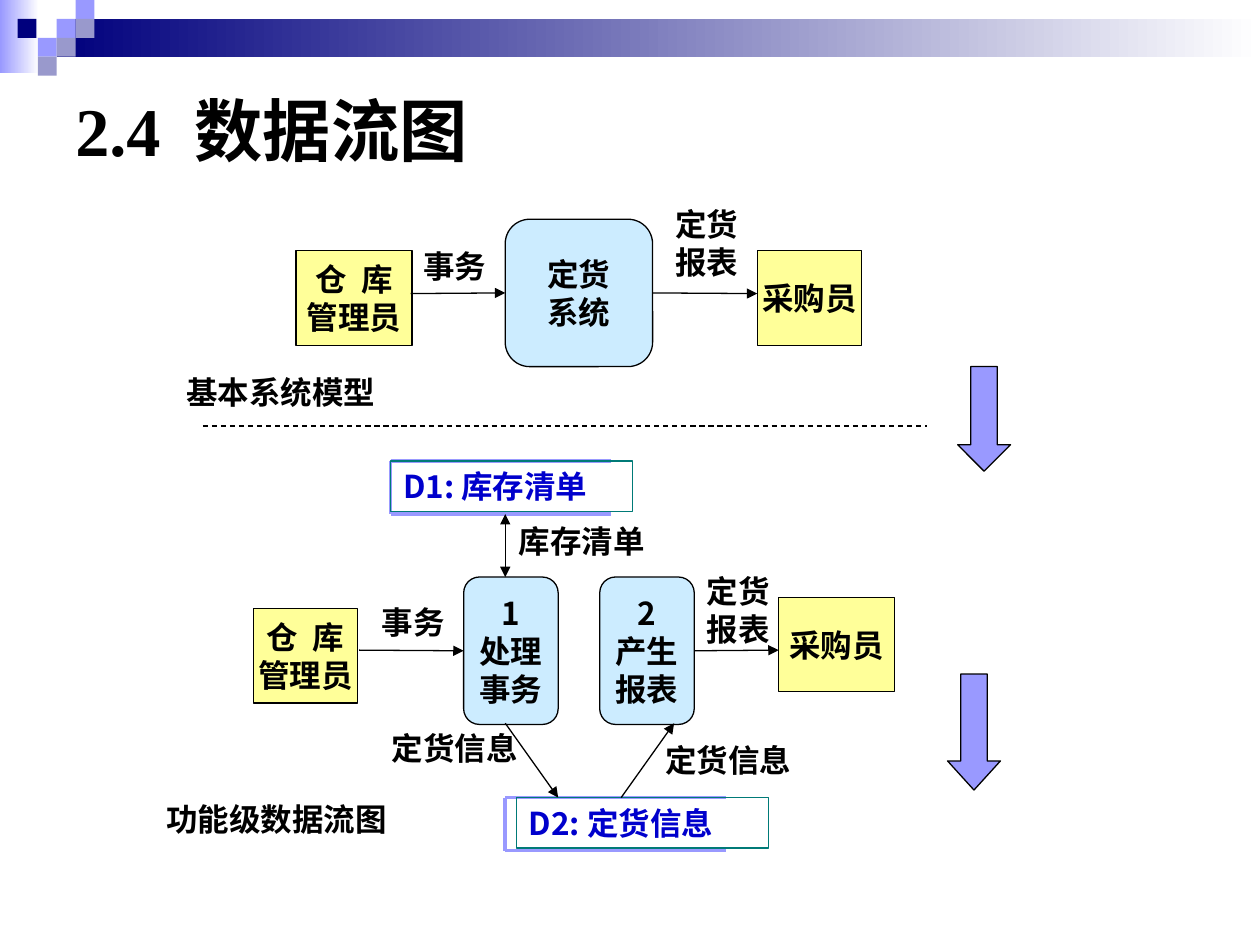
from lxml import etree
from pptx import Presentation, util as u
from pptx.dml.color import RGBColor
from pptx.enum import dml, shapes, text
from pptx.oxml.ns import qn

COLORS = {"black": "000000", "white": "FFFFFF", "navy": "00007D", "violet": "9999FF",
          "gray": "9999CC", "yellow": "FFFF99", "sky": "CCECFF", "teal": "007A77",
          "blue": "0000CC"}
SANS, SERIF = "Noto Sans CJK SC", "Times New Roman"
RECT, ROUND = shapes.MSO_SHAPE.RECTANGLE, shapes.MSO_SHAPE.ROUNDED_RECTANGLE
DOWN = shapes.MSO_SHAPE.DOWN_ARROW
LEFT, RIGHT = 1, 3

BANDS = [((0, 0, 0.31, 0.58), "violet"), ((0.45, 0.15, 9.55, 0.3), "navy")]
TILE = 0.15
TILES = [(3, 1, "violet"), (4, 0, "violet"), (4, 1, "gray"), (2, 2, "violet"),
         (0.93, 1, "navy"), (3, 2, "gray"), (2, 3, "gray")]

TITLE = ("2.4  数据流图", (0.5, 0.5, 9, 1.05))
NODES = {
    "keeper": (RECT, "仓  库\n管理员", (2.35, 1.99, 0.92, 0.75)),
    "system": (ROUND, "定货\n系统", (4.01, 1.74, 1.17, 1.17)),
    "buyer": (RECT, "采购员", (6.01, 1.99, 0.83, 0.75)),
    "keeper 2": (RECT, "仓  库\n管理员", (2.01, 4.83, 0.83, 0.75)),
    "process": (ROUND, "1\n处理\n事务", (3.68, 4.58, 0.75, 1.17)),
    "report": (ROUND, "2\n产生\n报表", (4.76, 4.58, 0.75, 1.17)),
    "buyer 2": (RECT, "采购员", (6.18, 4.74, 0.92, 0.75)),
}
STORES = [("D1: 库存清单", 3.1, (3.1, 3.66, 1.92, 0.4)),
          ("D2: 定货信息", 4.01, (4.1, 6.33, 2, 0.4))]
BRACKET_WIDTH, BRACKET_HEIGHT = 1.75, 0.42
FLOWS = [
    ((3.26, 2.33), (4.01, 2.33), None, ("system", LEFT)),
    ((5.18, 2.33), (6.01, 2.33), ("system", RIGHT), None),
    ((2.85, 5.16), (3.68, 5.16), None, ("process", LEFT)),
    ((5.51, 5.16), (6.18, 5.16), ("report", RIGHT), None),
    ((4.01, 5.74), (4.43, 6.33), None, None),
    ((4.93, 6.33), (5.35, 5.74), None, None),
]
STORE_LINK = ((4.01, 4.08), (4.01, 4.58))
DIVIDER = ((1.61, 3.38), (7.36, 3.38))
LABELS = [
    ("基本系统模型", (1.38, 2.91, 1.75, 0.4)),
    ("功能级数据流图", (1.22, 6.3, 2.08, 0.4)),
    ("事务", (3.26, 1.91, 0.75, 0.4)),
    ("定货报表", (5.26, 1.58, 0.75, 0.7)),
    ("事务", (2.93, 4.74, 0.75, 0.4)),
    ("定货报表", (5.51, 4.49, 0.75, 0.7)),
    ("定货信息", (3.01, 5.74, 1.42, 0.4)),
    ("定货信息", (5.18, 5.83, 1.25, 0.4)),
    ("库存清单", (4.02, 4.09, 1.2, 0.4)),
]
STEPS = [((7.6, 2.91, 0.42, 0.83), 0.5), ((7.52, 5.35, 0.42, 0.92), 0.55)]

deck = Presentation()
deck.slide_width, deck.slide_height = u.Inches(10), u.Inches(7.5)
page = deck.slides.add_slide(deck.slide_layouts[6])


def color(name):
    return RGBColor.from_string(COLORS[name])


def inches(values):
    return [u.Inches(value) for value in values]


def add_box(kind, place, fill=None, line=None):
    box = page.shapes.add_shape(kind, *inches(place))
    box.shadow.inherit = False
    if fill:
        box.fill.solid()
        box.fill.fore_color.rgb = color(fill)
    else:
        box.fill.background()
    if line:
        box.line.color.rgb = color(line)
        box.line.width = u.Pt(0.75)
    else:
        box.line.fill.background()
    return box


def write(box, words, ink="black", size=18, font=SANS, wrap=True,
          anchor=text.MSO_ANCHOR.TOP, align=text.PP_ALIGN.LEFT):
    frame = box.text_frame
    frame.text = words
    frame.word_wrap = wrap
    frame.vertical_anchor = anchor
    for para in frame.paragraphs:
        para.alignment = align
        for span in para.runs:
            span.font.size, span.font.bold, span.font.name = u.Pt(size), True, font
            span.font.color.rgb = color(ink)
            east = etree.SubElement(span.font._element, qn("a:ea"))
            east.set("typeface", SANS)


def add_line(start, end, ink="black", width=0.75, heads=()):
    line = page.shapes.add_connector(shapes.MSO_CONNECTOR.STRAIGHT, *inches(start + end))
    line.line.color.rgb = color(ink)
    line.line.width = u.Pt(width)
    for head in heads:
        etree.SubElement(line.line._get_or_add_ln(), qn(head)).set("type", "triangle")
    etree.SubElement(line._element.spPr, qn("a:effectLst"))
    return line


for place, tint in BANDS:
    band = add_box(RECT, place, tint)
    band.fill.gradient()
    band.fill.gradient_angle = 180
    for stop, name in zip(band.fill.gradient_stops, ("white", tint)):
        stop.color.rgb = color(name)
for column, row, tint in TILES:
    add_box(RECT, (column * TILE, row * TILE, TILE, TILE), tint)

title, place = TITLE
write(page.shapes.add_textbox(*inches(place)), title, size=39, font=SERIF,
      anchor=text.MSO_ANCHOR.MIDDLE)

nodes = {}
for key, (kind, words, place) in NODES.items():
    nodes[key] = add_box(kind, place, "yellow" if kind == RECT else "sky", "black")
    write(nodes[key], words, wrap=False, anchor=text.MSO_ANCHOR.MIDDLE,
          align=text.PP_ALIGN.CENTER)

for words, left, place in STORES:
    top, right = place[1], left + BRACKET_WIDTH
    bottom = top + BRACKET_HEIGHT
    for start, end in [((left, top), (right, top)), ((left, top), (left, bottom)),
                       ((left, bottom), (right, bottom))]:
        add_line(start, end, "violet", 2)
    write(add_box(RECT, place, line="teal"), words, "blue")

for start, end, source, target in FLOWS:
    flow = add_line(start, end, heads=["a:tailEnd"])
    if source:
        flow.begin_connect(nodes[source[0]], source[1])
    if target:
        flow.end_connect(nodes[target[0]], target[1])
add_line(*STORE_LINK, heads=["a:headEnd", "a:tailEnd"])
add_line(*DIVIDER).line.dash_style = dml.MSO_LINE.DASH

for words, place in LABELS:
    write(page.shapes.add_textbox(*inches(place)), words)

for place, head in STEPS:
    step = add_box(DOWN, place, "violet", "black")
    step.adjustments[0], step.adjustments[1] = 0.5, head

deck.save("out.pptx")
